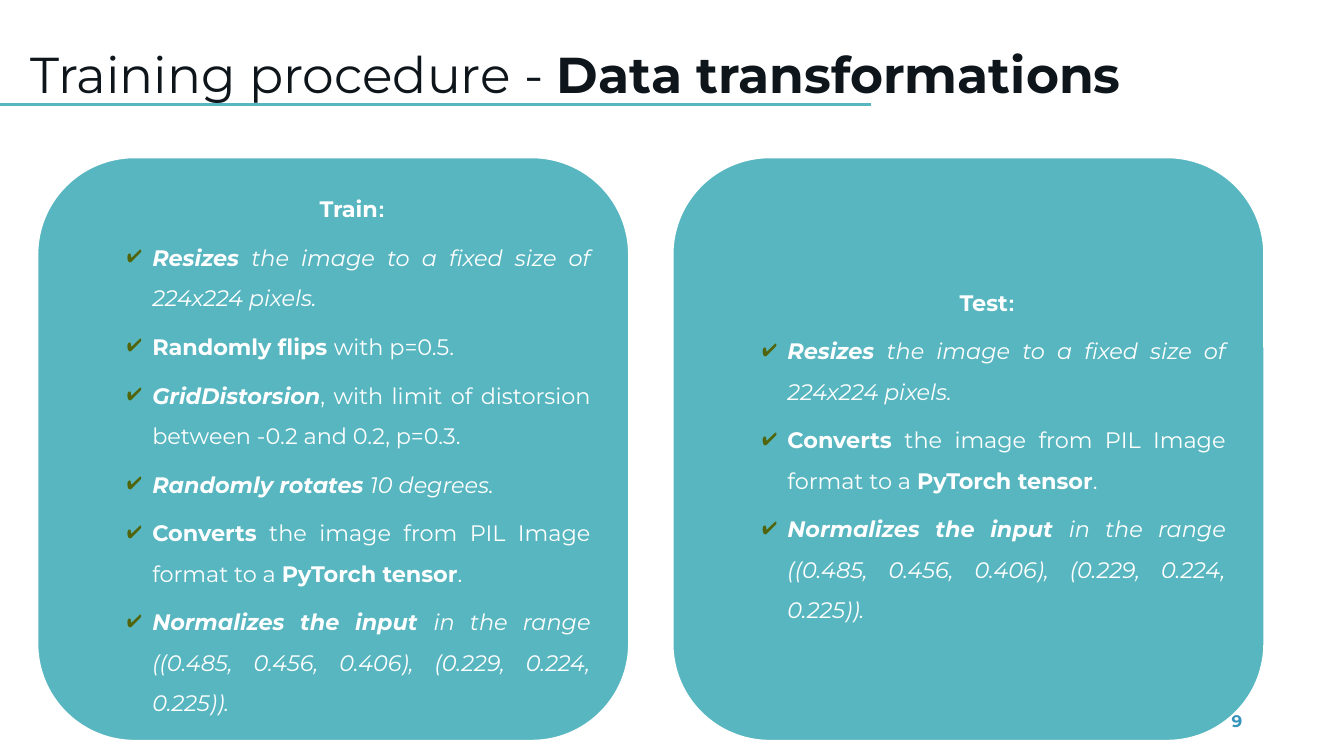
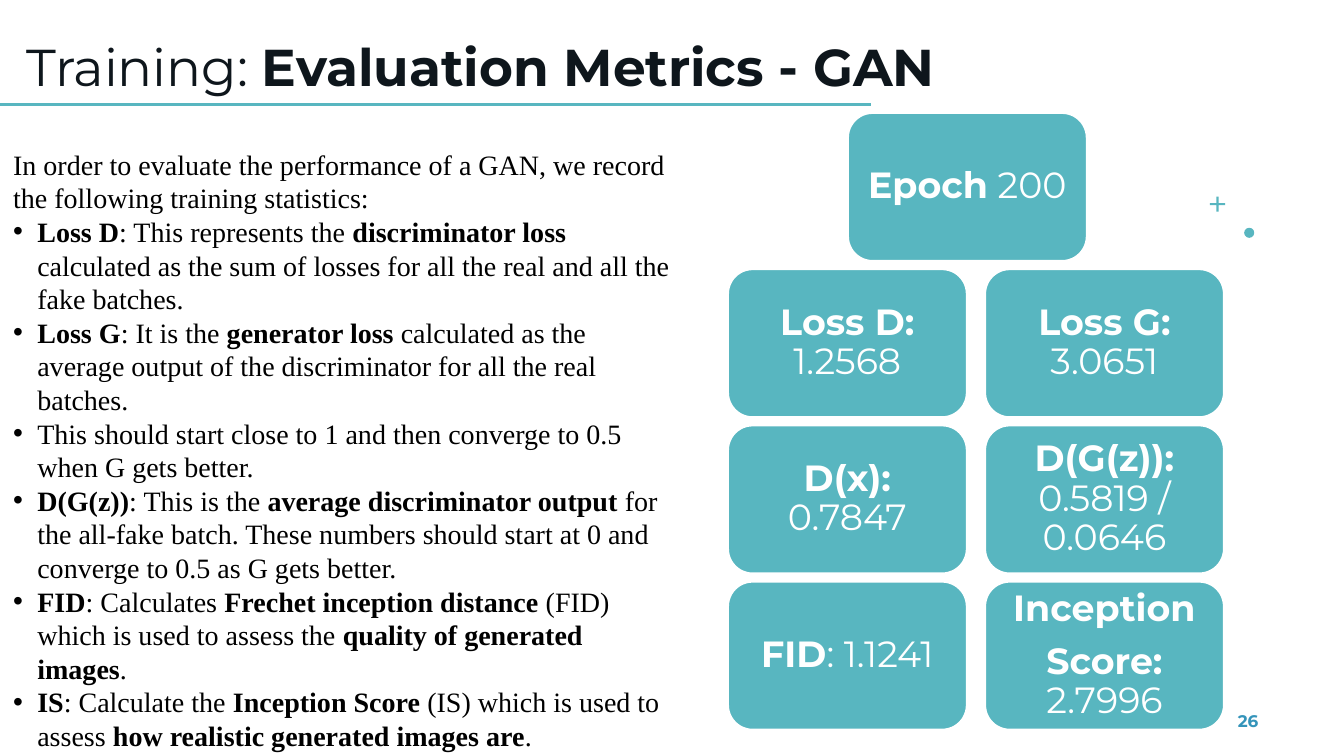
"""Build two slides on training a GAN: data transformations and evaluation metrics."""
from dataclasses import dataclass

from lxml.etree import SubElement
from pptx import Presentation
from pptx.dml.color import RGBColor
from pptx.enum.shapes import MSO_CONNECTOR, MSO_SHAPE
from pptx.enum.text import MSO_ANCHOR, MSO_AUTO_SIZE, PP_ALIGN
from pptx.oxml.ns import qn
from pptx.util import Inches, Pt


@dataclass(frozen=True)
class Theme:
    teal: str = "58B6C0"
    blue: str = "3494BA"
    ink: str = "0E161C"
    white: str = "FFFFFF"
    black: str = "000000"
    olive: str = "51640A"
    sans: str = "Montserrat"
    plain: str = "Arial"
    serif: str = "Times New Roman"
    note: int = 12
    card: int = 16
    body: int = 20
    tile: int = 26


theme = Theme()


def write(para, runs, face, size, color, left=0, hang=0, mark=None, tint=None):
    props = para._p.get_or_add_pPr()
    props.set("marL", str(Inches(left)))
    props.set("indent", str(-Inches(hang)))
    if mark:
        SubElement(SubElement(props, qn("a:buClr")), qn("a:srgbClr")).set("val", tint)
        SubElement(props, qn("a:buChar")).set("char", mark)
    else:
        SubElement(props, qn("a:buNone"))
    para.font.name = face
    para.font.size = Pt(size)
    para.font.color.rgb = RGBColor.from_string(color)
    for style, text in runs:
        run = para.add_run()
        run.text = text
        run.font.bold = "b" in style
        run.font.italic = "i" in style


def draw(slide, kind, left, top, width, height):
    shape = slide.shapes.add_shape(kind, Inches(left), Inches(top), Inches(width), Inches(height))
    shape.shadow.inherit = False
    shape.fill.solid()
    shape.fill.fore_color.rgb = RGBColor.from_string(theme.teal)
    shape.line.fill.background()
    if kind == MSO_SHAPE.ROUNDED_RECTANGLE:
        shape.line.color.rgb = RGBColor.from_string(theme.white)
        shape.line.width = Pt(1.5)
        frame = shape.text_frame
        frame.vertical_anchor = MSO_ANCHOR.MIDDLE
        frame.margin_left = frame.margin_right = Inches(0.1)
        frame.margin_top = frame.margin_bottom = Inches(0.1)
    return shape


deck = Presentation()
deck.slide_width, deck.slide_height = Inches(13.33), Inches(7.5)

heads = [
    (5, (0.2, 0.29, 11.11), 36, "9", 3,
     [("", "Training procedure - "), ("b", "Data transformations")]),
    (1, (0.16, 0.22, 12.61), 37, "26", 3.16,
     [("", "Training: "), ("b", "Evaluation Metrics - GAN")]),
]
for layout, (left, top, width), size, page, span, runs in heads:
    slide = deck.slides.add_slide(deck.slide_layouts[layout])
    rule = slide.shapes.add_connector(
        MSO_CONNECTOR.STRAIGHT, 0, Inches(1.04), Inches(8.64), Inches(1.04))
    rule.line.color.rgb = RGBColor.from_string(theme.teal)
    rule.line.width = Pt(2)
    SubElement(rule._element.spPr, qn("a:effectLst"))

    title = slide.shapes.title
    title.left, title.top = Inches(left), Inches(top)
    title.width, title.height = Inches(width), Inches(0.8)
    frame = title.text_frame
    frame.auto_size = MSO_AUTO_SIZE.NONE
    frame.vertical_anchor = MSO_ANCHOR.BOTTOM
    para = frame.paragraphs[0]
    para.alignment = PP_ALIGN.LEFT
    para.line_spacing = 0.9
    write(para, runs, theme.sans, size, theme.ink)

    label = slide.shapes.add_textbox(Inches(9.42), Inches(6.95), Inches(span), Inches(0.4))
    frame = label.text_frame
    frame.word_wrap = True
    frame.vertical_anchor = MSO_ANCHOR.MIDDLE
    para = frame.paragraphs[0]
    para.alignment = PP_ALIGN.RIGHT
    write(para, [("b", page)], theme.sans, theme.note, theme.blue)

data, score = deck.slides

resize = [("bi", "Resizes"), ("i", " the image to a fixed size of 224x224 pixels.")]
shared = [
    [("b", "Converts"), ("", " the image from PIL Image format to a "),
     ("b", "PyTorch tensor"), ("", ".")],
    [("bi", "Normalizes the input "),
     ("i", "in the range ((0.485, 0.456, 0.406), (0.229, 0.224, 0.225)).")],
]
extra = [
    [("b", "Randomly flips "), ("", "with p=0.5.")],
    [("bi", "GridDistorsion"), ("", ", with limit of distorsion between -0.2 and 0.2, p=0.3.")],
    [("bi", "Randomly rotates "), ("i", "10 degrees.")],
]
cards = [(0.37, "Train", [resize] + extra + shared), (6.67, "Test", [resize] + shared)]
for left, name, steps in cards:
    frame = draw(data, MSO_SHAPE.ROUNDED_RECTANGLE, left, 1.56, 5.87, 5.79).text_frame
    para = frame.paragraphs[0]
    para.alignment = PP_ALIGN.CENTER
    para.line_spacing = 1.5
    write(para, [("b", name), ("b", ":")], theme.sans, theme.card, theme.white, left=0.38)
    para.runs[1].font.name = theme.plain
    for step in steps:
        para = frame.add_paragraph()
        para.alignment = PP_ALIGN.JUSTIFY
        para.line_spacing = 1.5
        para.space_before = Pt(6)
        write(para, step, theme.sans, theme.card, theme.white, 0.76, 0.25, "✔", theme.olive)

draw(score, MSO_SHAPE.OVAL, 12.34, 2.26, 0.1, 0.1)
plus = draw(score, MSO_SHAPE.CROSS, 12, 1.95, 0.15, 0.15)
plus.adjustments[0] = 0.43

intro = "In order to evaluate the performance of a GAN, we record the following training statistics:"
facts = [
    [("b", "Loss D"), ("", ": This represents the "), ("b", "discriminator loss "),
     ("", "calculated as the sum of losses for all the real and all the fake batches.")],
    [("b", "Loss G"), ("", ": It is the "), ("b", "generator loss "),
     ("", "calculated as the average output of the discriminator for all the real batches.")],
    [("", "This should start close to 1 and then converge to 0.5 when G gets better.")],
    [("b", "D(G(z))"), ("", ": This is the "), ("b", "average discriminator output "),
     ("", "for the all-fake batch. These numbers should start at 0 "
          "and converge to 0.5 as G gets better.")],
    [("b", "FID"), ("", ": Calculates "), ("b", "Frechet inception distance "),
     ("", "(FID) which is used to assess the "), ("b", "quality of generated images"), ("", ".")],
    [("b", "IS"), ("", ": Calculate the "), ("b", "Inception Score "),
     ("", "(IS) which is used to assess "),
     ("b", "how realistic generated images are"), ("", ".")],
]
body = score.placeholders[1]
body.left, body.top, body.width, body.height = Inches(0.03), Inches(1.41), Inches(6.77), Inches(5.49)
frame = body.text_frame
frame.auto_size = MSO_AUTO_SIZE.SHAPE_TO_FIT_TEXT
frame.vertical_anchor = MSO_ANCHOR.TOP
para = frame.paragraphs[0]
para.space_before = Pt(0)
write(para, [("", intro)], theme.serif, theme.body, theme.black)
for fact in facts:
    para = frame.add_paragraph()
    para.space_before = Pt(0)
    write(para, fact, theme.serif, theme.body, theme.black, 0.24, 0.24, "•", theme.black)

tiles = [
    (8.41, 0, [[("b", "Epoch"), ("", " 200")]]),
    (7.22, 1, [[("b", "Loss D:"), ("", " 1.2568")]]),
    (9.77, 1, [[("b", "Loss G: "), ("", "3.0651")]]),
    (7.22, 2, [[("b", "D(x): "), ("", "0.7847")]]),
    (9.77, 2, [[("b", "D(G(z)): "), ("", "0.5819 / 0.0646")]]),
    (7.22, 3, [[("b", "FID"), ("", ": 1.1241")]]),
    (9.77, 3, [[("b", "Inception")], [("b", "Score: "), ("", "2.7996")]]),
]
for left, row, lines in tiles:
    top = 1.12 + 1.55 * row
    frame = draw(score, MSO_SHAPE.ROUNDED_RECTANGLE, left, top, 2.37, 1.47).text_frame
    for index, runs in enumerate(lines):
        para = frame.add_paragraph() if index else frame.paragraphs[0]
        para.alignment = PP_ALIGN.CENTER
        para.line_spacing = 0.9
        para.space_before = Pt(9.8 if index else 0)
        write(para, runs, theme.sans, theme.tile, theme.white)

deck.save("out.pptx")
